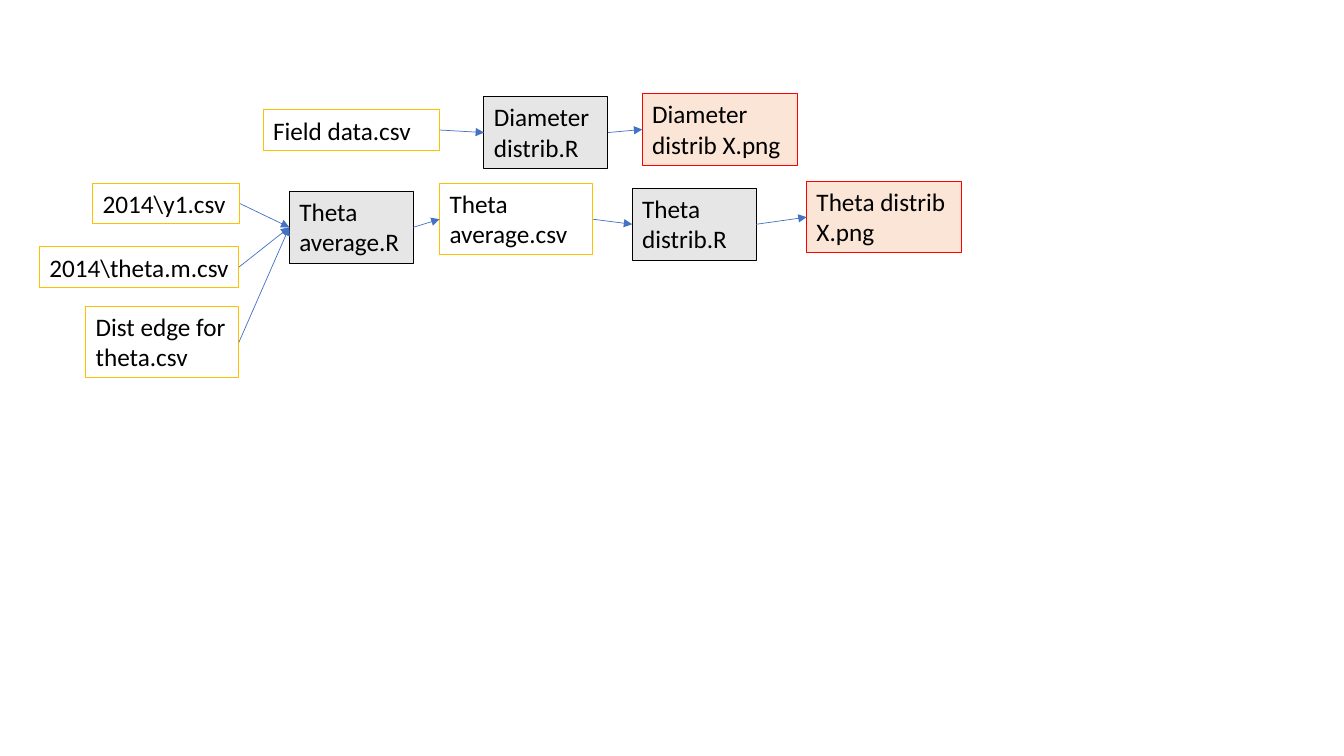
from dataclasses import dataclass

from lxml.etree import SubElement
from pptx import Presentation
from pptx.dml.color import RGBColor
from pptx.enum.shapes import MSO_CONNECTOR
from pptx.enum.text import MSO_ANCHOR, MSO_AUTO_SIZE, PP_ALIGN
from pptx.oxml.ns import qn
from pptx.util import Inches, Pt


@dataclass(frozen=True)
class BoxStyle:
    fill: str | None
    line: str


@dataclass(frozen=True)
class Theme:
    font: str = "Calibri"
    text_size: float = 18
    text_color: str = "000000"
    arrow_color: str = "4472C4"
    arrow_width: float = 0.5
    border_width: float = 0.75
    data: BoxStyle = BoxStyle("FFFFFF", "FFC000")
    clear_data: BoxStyle = BoxStyle(None, "FFC000")
    program: BoxStyle = BoxStyle("E7E6E6", "000000")
    figure: BoxStyle = BoxStyle("FBE5D6", "FF0000")


LEFT_SITE, RIGHT_SITE = 1, 3
ONE_LINE, TWO_LINES = 0.4, 0.71
PROGRAM_WIDTH, FIGURE_WIDTH, TABLE_WIDTH = 1.23, 1.54, 1.52


def write_text(text_frame, text, *, font, size, color, align=PP_ALIGN.LEFT):
    text_frame.word_wrap = True
    text_frame.auto_size = MSO_AUTO_SIZE.SHAPE_TO_FIT_TEXT
    text_frame.vertical_anchor = MSO_ANCHOR.TOP
    paragraph = text_frame.paragraphs[0]
    paragraph.alignment = align
    run = paragraph.add_run()
    run.text = text
    run.font.name = font
    run.font.size = Pt(size)
    run.font.color.rgb = RGBColor.from_string(color)


class FlowSlide:
    def __init__(self, slide, theme):
        self.slide = slide
        self.theme = theme

    def box(self, text, style, left, top, width, height=TWO_LINES):
        shape = self.slide.shapes.add_textbox(
            Inches(left), Inches(top), Inches(width), Inches(height)
        )
        if style.fill:
            shape.fill.solid()
            shape.fill.fore_color.rgb = RGBColor.from_string(style.fill)
        shape.line.color.rgb = RGBColor.from_string(style.line)
        shape.line.width = Pt(self.theme.border_width)
        write_text(
            shape.text_frame,
            text,
            font=self.theme.font,
            size=self.theme.text_size,
            color=self.theme.text_color,
        )
        return shape

    def arrow(self, source, target):
        connector = self.slide.shapes.add_connector(MSO_CONNECTOR.STRAIGHT, 0, 0, 0, 0)
        connector.begin_connect(source, RIGHT_SITE)
        connector.end_connect(target, LEFT_SITE)
        connector.line.color.rgb = RGBColor.from_string(self.theme.arrow_color)
        connector.line.width = Pt(self.theme.arrow_width)
        properties = connector.element.spPr
        SubElement(properties.find(qn("a:ln")), qn("a:tailEnd"), type="triangle")
        SubElement(properties, qn("a:effectLst"))


presentation = Presentation()
presentation.slide_width = Inches(13.33)
presentation.slide_height = Inches(7.5)
theme = Theme()
flow = FlowSlide(presentation.slides.add_slide(presentation.slide_layouts[6]), theme)

field_data = flow.box("Field data.csv", theme.data, 2.61, 1.09, 1.75, ONE_LINE)
diameter_program = flow.box("Diameter distrib.R", theme.program, 4.8, 0.96, PROGRAM_WIDTH)
diameter_figure = flow.box("Diameter distrib X.png", theme.figure, 6.37, 0.93, FIGURE_WIDTH)

yearly_data = flow.box("2014\\y1.csv", theme.data, 0.92, 1.82, 1.46, ONE_LINE)
theta_data = flow.box("2014\\theta.m.csv", theme.clear_data, 0.39, 2.45, 1.98, ONE_LINE)
edge_data = flow.box("Dist edge for theta.csv", theme.data, 0.85, 3.04, TABLE_WIDTH)

average_program = flow.box("Theta average.R", theme.program, 2.87, 1.9, PROGRAM_WIDTH)
average_data = flow.box("Theta average.csv", theme.data, 4.36, 1.82, TABLE_WIDTH)
theta_program = flow.box("Theta distrib.R", theme.program, 6.27, 1.87, PROGRAM_WIDTH)
theta_figure = flow.box("Theta distrib X.png", theme.figure, 8, 1.8, FIGURE_WIDTH)

for source, target in (
    (field_data, diameter_program),
    (diameter_program, diameter_figure),
    (yearly_data, average_program),
    (theta_data, average_program),
    (edge_data, average_program),
    (average_program, average_data),
    (average_data, theta_program),
    (theta_program, theta_figure),
):
    flow.arrow(source, target)

presentation.save("out.pptx")
